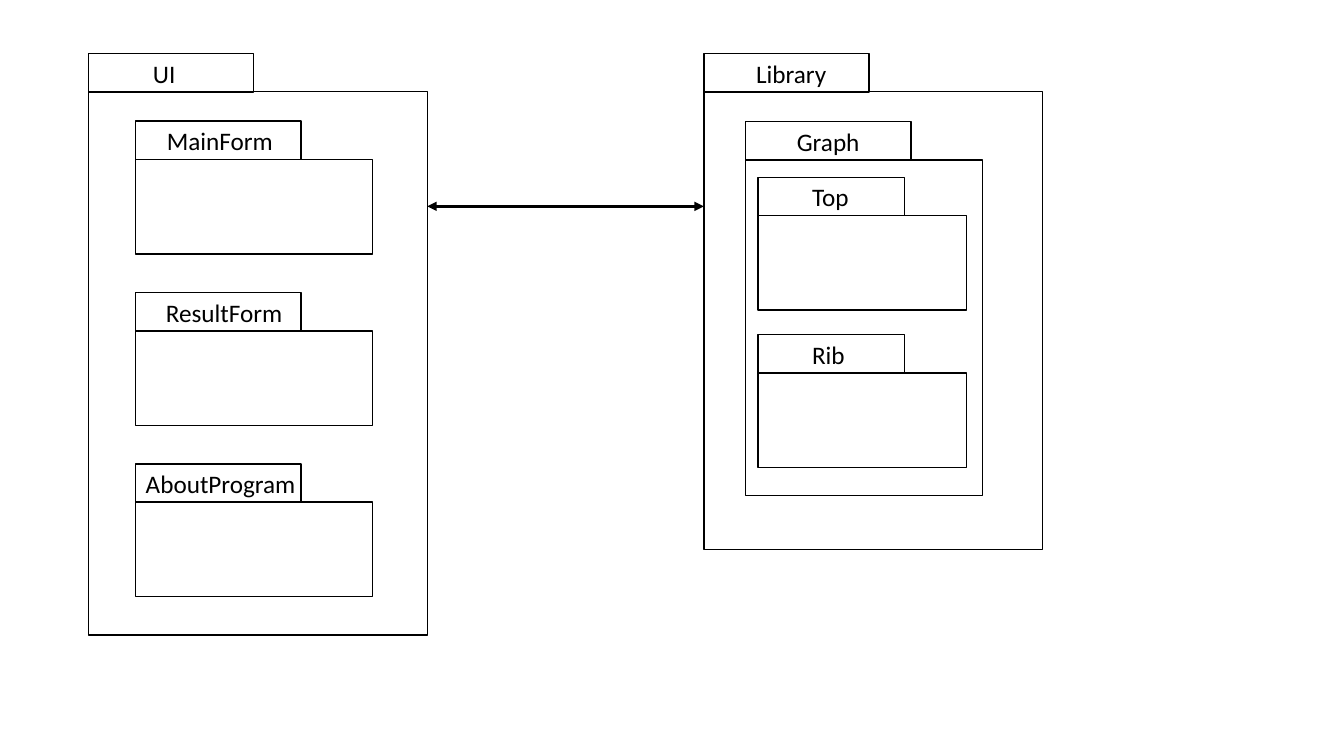
"""Draw a package diagram of a user interface and its library."""
import pptx
import pptx.dml.color
import pptx.enum.shapes
import pptx.enum.text
import pptx.oxml
import pptx.oxml.ns
import pptx.util

Pt = pptx.util.Pt
BLACK = pptx.dml.color.RGBColor(0, 0, 0)
TAB = 27.4


def add_box(slide, left, top, width, height):
    """Add an outlined rectangle."""
    kind = pptx.enum.shapes.MSO_SHAPE.RECTANGLE
    box = slide.shapes.add_shape(kind, Pt(left), Pt(top), Pt(width), Pt(height))
    box.shadow.inherit = False
    box.fill.background()
    box.line.color.rgb = BLACK
    box.line.width = Pt(1)


def add_label(slide, text, left, top, width):
    """Add a line of text."""
    label = slide.shapes.add_textbox(Pt(left), Pt(top), Pt(width), Pt(29.1))
    frame = label.text_frame
    frame.word_wrap = True
    frame.auto_size = pptx.enum.text.MSO_AUTO_SIZE.SHAPE_TO_FIT_TEXT
    frame.text = text
    font = frame.paragraphs[0].runs[0].font
    font.name = "Calibri"
    font.size = Pt(18)
    font.color.rgb = BLACK


def add_pack(slide, name, left, top, width, height, indent, tab=118.1, room=98.6):
    """Add a package: body, tab above it and name."""
    add_box(slide, left, top, width, height)
    add_box(slide, left, top - TAB, tab, TAB)
    add_label(slide, name, left + indent, top - TAB - 0.4, room)


def add_arrow(slide, start, end, level):
    """Add a level line with a head at each end."""
    kind = pptx.enum.shapes.MSO_CONNECTOR.STRAIGHT
    arrow = slide.shapes.add_connector(kind, Pt(start), Pt(level), Pt(end), Pt(level))
    arrow.line.color.rgb = BLACK
    arrow.line.width = Pt(2.25)
    stroke = arrow.line._get_or_add_ln()
    for tag in ("a:headEnd", "a:tailEnd"):
        head = pptx.oxml.parse_xml(f'<{tag} {pptx.oxml.ns.nsdecls("a")} type="triangle"/>')
        stroke.append(head)
    empty = pptx.oxml.parse_xml(f'<a:effectLst {pptx.oxml.ns.nsdecls("a")}/>')
    arrow._element.spPr.append(empty)


def main():
    """Build the slide and save it."""
    deck = pptx.Presentation()
    deck.slide_width, deck.slide_height = Pt(960), Pt(540)
    slide = deck.slides.add_slide(deck.slide_layouts[6])

    add_pack(slide, "UI", 63.2, 65.6, 242, 388, 39)
    forms = (("MainForm", 15.1, 98.6), ("ResultForm", 14.4, 98.6), ("AboutProgram", 0, 128.2))
    for row, (name, indent, room) in enumerate(forms):
        add_pack(slide, name, 97, 113.9 + row * 122.4, 169.2, 67.5, indent, room=room)

    add_pack(slide, "Library", 502.8, 65.6, 242, 327, 30.2)
    add_pack(slide, "Graph", 532.6, 114.4, 169.2, 239.5, 29.5)
    for row, name in enumerate(("Top", "Rib")):
        add_pack(slide, name, 541.5, 154.1 + row * 112.3, 149, 67.5, 31.5, 104.4, 48.2)

    add_arrow(slide, 305.2, 502.8, 147.4)
    deck.save("out.pptx")


if __name__ == "__main__":
    main()
